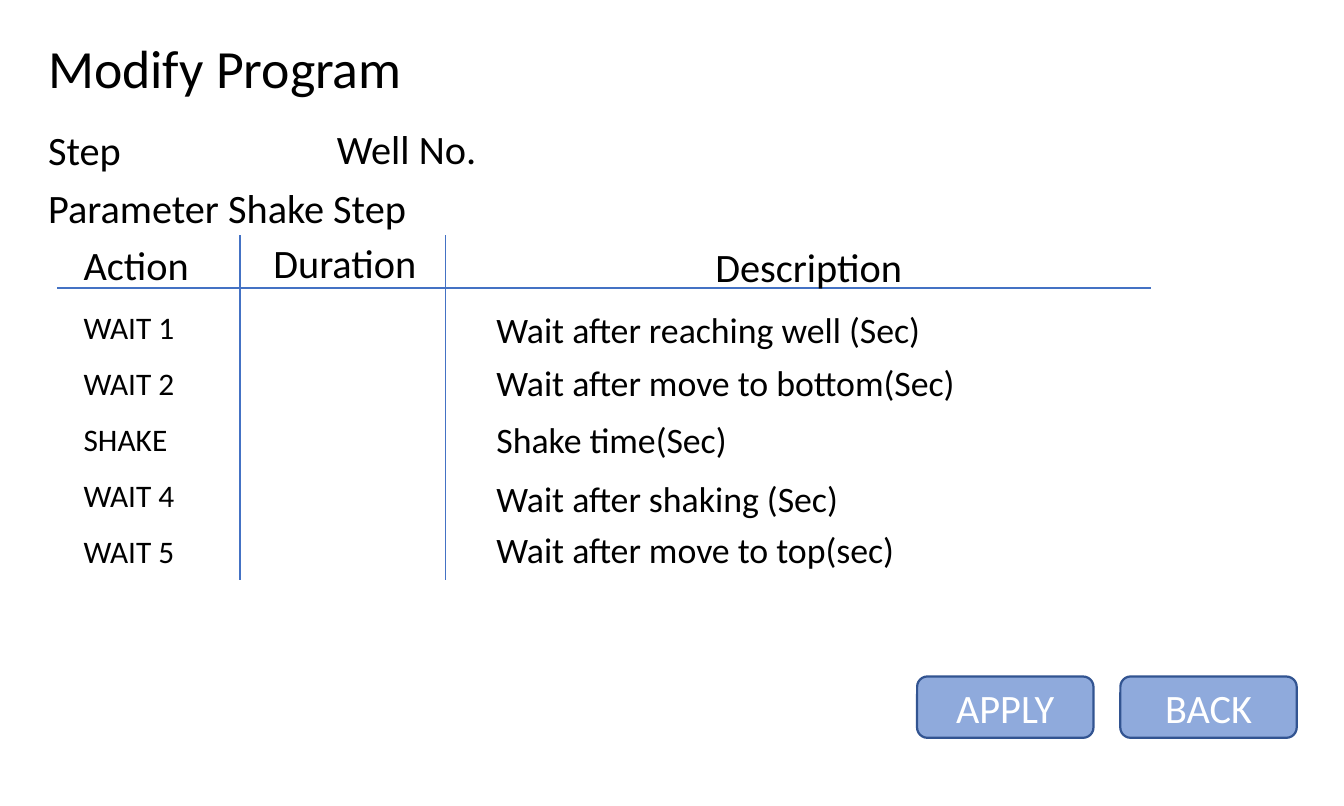
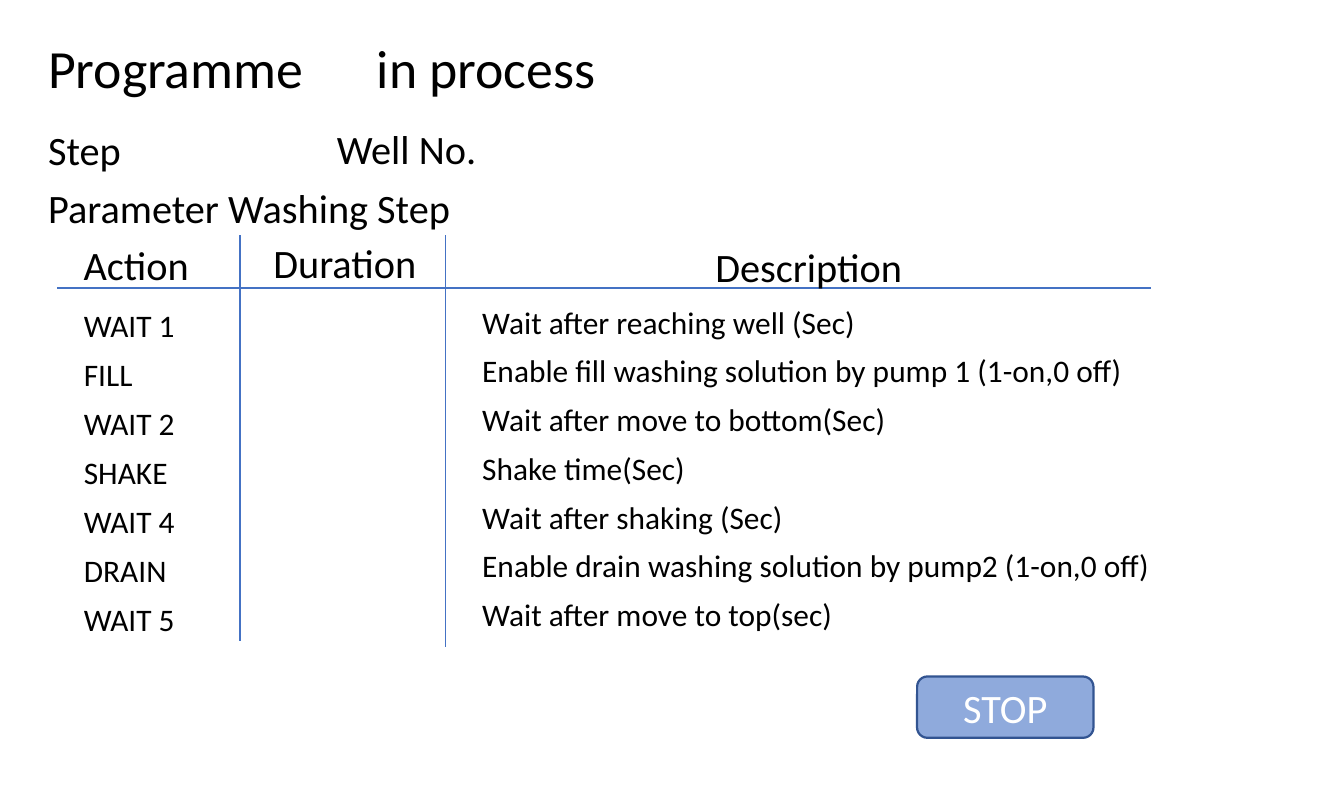
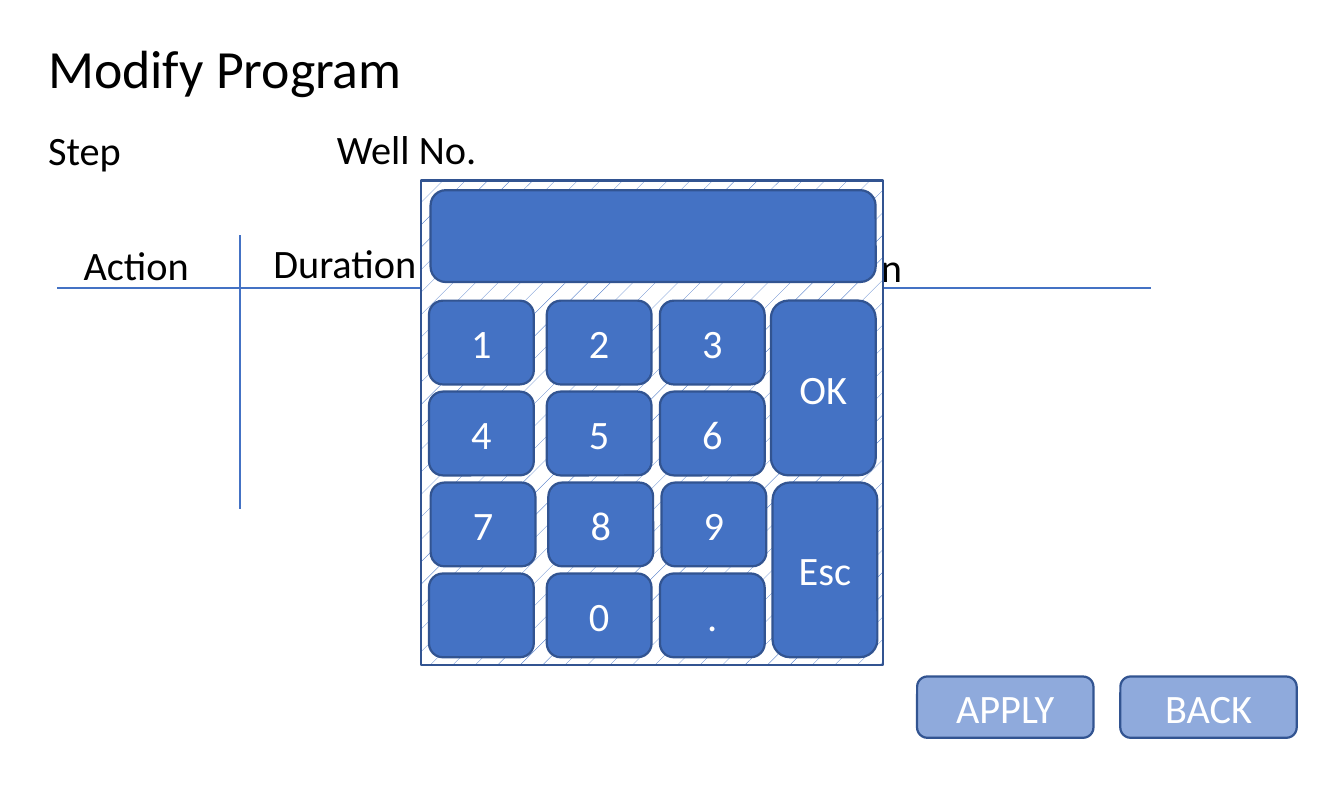
from dataclasses import dataclass
from typing import Any

import pptx
import pptx.dml.color
import pptx.enum.dml
import pptx.enum.shapes
import pptx.enum.text
import pptx.oxml.ns
import pptx.util
from lxml import etree

RGBColor = pptx.dml.color.RGBColor
BLACK = RGBColor(0x00, 0x00, 0x00)
WHITE = RGBColor(0xFF, 0xFF, 0xFF)
BLUE = RGBColor(0x44, 0x72, 0xC4)
LIGHT_BLUE = RGBColor(0x8F, 0xAA, 0xDC)
OUTLINE = RGBColor(0x32, 0x54, 0x91)

# The page is a grid of 100 columns by 60 rows
PAGE_WIDTH = pptx.util.Pt(600)
PAGE_HEIGHT = pptx.util.Pt(360)
COLUMNS, ROWS = 100, 60

FONT = "Calibri"
TITLE_SIZE, LABEL_SIZE, NOTE_SIZE, ITEM_SIZE = 24, 18, 16, 14
GROW = pptx.enum.text.MSO_AUTO_SIZE.SHAPE_TO_FIT_TEXT
MIDDLE = pptx.enum.text.MSO_ANCHOR.MIDDLE
BOTTOM = pptx.enum.text.MSO_ANCHOR.BOTTOM
CENTER = pptx.enum.text.PP_ALIGN.CENTER
RECTANGLE = pptx.enum.shapes.MSO_SHAPE.RECTANGLE
ROUNDED = pptx.enum.shapes.MSO_SHAPE.ROUNDED_RECTANGLE

CELL_FORMAT = {
    "margin_left": pptx.util.Inches(0.01),
    "margin_right": pptx.util.Inches(0.01),
    "margin_top": pptx.util.Inches(0.01),
    "margin_bottom": 0,
}


def across(columns: float) -> int:
    return round(PAGE_WIDTH * columns / COLUMNS)


def down(rows: float) -> int:
    return round(PAGE_HEIGHT * rows / ROWS)


@dataclass(frozen=True)
class Area:
    left: float
    top: float
    width: float
    height: float

    def lengths(self) -> tuple[int, int, int, int]:
        return across(self.left), down(self.top), across(self.width), down(self.height)


@dataclass(frozen=True)
class Label:
    text: str
    area: Area
    size: int = LABEL_SIZE
    wrap: bool = False
    tab: float = 0


@dataclass(frozen=True)
class TextColumn:
    items: tuple[str, ...]
    left: float
    width: float
    first_height: float
    row_height: float
    anchor: Any


@dataclass(frozen=True)
class Screen:
    title: Label
    parameter: Label | None
    dividers: tuple[float, float]
    buttons: tuple[str, ...]


# Parts that every screen shares
SHARED_LABELS = (
    Label("Step", Area(2.4, 8.72, 7.92, 4.8)),
    Label("Well No.", Area(23.88, 8.64, 12.96, 4.8)),
    Label("Action", Area(5.04, 17.32, 10.32, 4.8)),
    Label("Duration", Area(19.16, 17.16, 13.2, 4.8)),
    Label("Description", Area(52.04, 17.48, 16.56, 4.8)),
)
HEADER_LINE = (4.28, 21.44, 85.68, 21.44)
DIVIDER_LEFTS, DIVIDER_TOP = (17.84, 33.16), 17.52
BUTTON, BUTTON_STEP = Area(68.24, 50.36, 13.12, 4.56), 15.12

MODIFY_TITLE = Label("Modify Program", Area(2.4, 2, 28.92, 6), TITLE_SIZE, True)
PROCESS_TITLE = Label("Programme\tin process", Area(2.4, 2, 43.44, 6),
                      TITLE_SIZE, True, 24.46)

SHAKE = Screen(MODIFY_TITLE, Label("Parameter Shake Step", Area(2.4, 13.04, 29.4, 4.8)),
               (43.16, 43.16), ("APPLY", "BACK"))
WASHING = Screen(PROCESS_TITLE, Label("Parameter Washing Step", Area(2.4, 13.04, 32.64, 4.8)),
                 (47.72, 48.2), ("STOP",))
ENTRY = Screen(MODIFY_TITLE, None, (37.88, 37.88), ("APPLY", "BACK"))

# Shake steps: action, description, top of the description
SHAKE_STEPS = (
    ("WAIT 1", "Wait after reaching well (Sec)", 22.32),
    ("WAIT 2", "Wait after move to bottom(Sec)", 26.24),
    ("SHAKE", "Shake time(Sec)", 30.48),
    ("WAIT 4", "Wait after shaking (Sec)", 34.92),
    ("WAIT 5", "Wait after move to top(sec)", 38.7),
)
ACTION_TOP, ACTION_STEP = 22.38, 4.17

# Washing steps
WASHING_TOP = 22.2
WASHING_COLUMNS = (
    TextColumn(("WAIT 1", "FILL", "WAIT 2", "SHAKE", "WAIT 4", "DRAIN", "WAIT 5"),
               6.12, 10.32, 3.52, 3.65, BOTTOM),
    TextColumn(("Wait after reaching well (Sec)",
                "Enable fill washing solution by pump 1 (1-on,0 off)",
                "Wait after move to bottom(Sec)",
                "Shake time(Sec)",
                "Wait after shaking (Sec)",
                "Enable drain washing solution by pump2 (1-on,0 off)",
                "Wait after move to top(sec)"),
               35.76, 58.08, 3.63, 3.63, MIDDLE),
)

# Keypad
KEYPAD_PANEL = Area(31.32, 13.44, 34.36, 36.08)
KEYPAD_DISPLAY = Area(32.04, 14.16, 33.12, 6.84)
KEY_LEFTS = (31.92, 40.68, 49.1, 57.36)
KEY_TOP, KEY_STEP = 22.38, 6.77
KEY_WIDTH, KEY_HEIGHT = 7.8, 6.24
KEY_ROWS = (("1", "2", "3", "OK"), ("4", "5", "6"), ("7", "8", "9", "Esc"), ("", "0", "."))
TALL_KEYS = ("OK", "Esc")
SHIFTED_ROW, SHIFT = 2, 0.12


def apply_format(target: Any, values: dict[str, Any]) -> None:
    for name, value in values.items():
        setattr(target, name, value)


def write(para: Any, text: str, size: int, color: RGBColor) -> None:
    span = para.add_run()
    span.text = text
    apply_format(span.font, {"name": FONT, "size": pptx.util.Pt(size)})
    span.font.color.rgb = color


def add_label(page: Any, label: Label) -> None:
    box = page.shapes.add_textbox(*label.area.lengths())
    apply_format(box.text_frame, {"word_wrap": label.wrap, "auto_size": GROW})
    para = box.text_frame.paragraphs[0]
    write(para, label.text, label.size, BLACK)
    if label.tab:
        stops = etree.SubElement(para._p.get_or_add_pPr(), pptx.oxml.ns.qn("a:tabLst"))
        etree.SubElement(stops, pptx.oxml.ns.qn("a:tab"), pos=str(across(label.tab)), algn="l")


def add_line(page: Any, left: float, top: float, right: float, bottom: float) -> None:
    line = page.shapes.add_connector(pptx.enum.shapes.MSO_CONNECTOR.STRAIGHT,
                                     across(left), down(top), across(right), down(bottom))
    line.line.color.rgb = BLUE
    line.line.width = pptx.util.Pt(0.75)
    etree.SubElement(line._element.spPr, pptx.oxml.ns.qn("a:effectLst"))


def add_panel(shapes: Any, area: Area, fill: RGBColor, text: str = "", kind: Any = ROUNDED) -> Any:
    panel = shapes.add_shape(kind, *area.lengths())
    panel.shadow.inherit = False
    panel.fill.solid()
    panel.fill.fore_color.rgb = fill
    panel.line.color.rgb = OUTLINE
    panel.line.width = pptx.util.Pt(1)
    if text:
        panel.text_frame.vertical_anchor = MIDDLE
        para = panel.text_frame.paragraphs[0]
        para.alignment = CENTER
        write(para, text, LABEL_SIZE, WHITE)
    return panel


def add_white_borders(cell: Any) -> None:
    properties = cell._tc.get_or_add_tcPr()
    for index, side in enumerate(("lnL", "lnR", "lnT", "lnB")):
        border = etree.Element(pptx.oxml.ns.qn(f"a:{side}"), w=str(pptx.util.Pt(1)))
        fill = etree.SubElement(border, pptx.oxml.ns.qn("a:solidFill"))
        etree.SubElement(fill, pptx.oxml.ns.qn("a:srgbClr"), val=str(WHITE))
        properties.insert(index, border)


def add_text_column(page: Any, column: TextColumn) -> None:
    count = len(column.items)
    height = column.first_height + (count - 1) * column.row_height
    area = Area(column.left, WASHING_TOP, column.width, height)
    table = page.shapes.add_table(count, 1, *area.lengths()).table
    apply_format(table, {"first_row": False, "horz_banding": False})
    for index, text in enumerate(column.items):
        table.rows[index].height = down(column.row_height if index else column.first_height)
        cell = table.cell(index, 0)
        apply_format(cell, CELL_FORMAT | {"vertical_anchor": column.anchor})
        cell.fill.background()
        add_white_borders(cell)
        write(cell.text_frame.paragraphs[0], text, ITEM_SIZE, BLACK)


def add_keypad(page: Any) -> None:
    shapes = page.shapes.add_group_shape().shapes
    panel = add_panel(shapes, KEYPAD_PANEL, WHITE, kind=RECTANGLE)
    panel.fill.patterned()
    panel.fill.pattern = pptx.enum.dml.MSO_PATTERN.PERCENT_5
    panel.fill.fore_color.rgb = BLUE
    panel.fill.back_color.rgb = WHITE
    add_panel(shapes, KEYPAD_DISPLAY, BLUE)
    for row, keys in enumerate(KEY_ROWS):
        shift = SHIFT if row == SHIFTED_ROW else 0
        for left, key in zip(KEY_LEFTS, keys):
            height = KEY_HEIGHT + (KEY_STEP if key in TALL_KEYS else 0)
            area = Area(left + shift, KEY_TOP + row * KEY_STEP, KEY_WIDTH, height)
            add_panel(shapes, area, BLUE, key)


def add_screen(deck: Any, screen: Screen) -> Any:
    page = deck.slides.add_slide(deck.slide_layouts[6])
    add_line(page, *HEADER_LINE)
    for left, bottom in zip(DIVIDER_LEFTS, screen.dividers):
        add_line(page, left, DIVIDER_TOP, left, bottom)
    for index, text in enumerate(screen.buttons):
        area = Area(BUTTON.left + index * BUTTON_STEP, BUTTON.top, BUTTON.width, BUTTON.height)
        add_panel(page.shapes, area, LIGHT_BLUE, text)
    for label in (screen.title, screen.parameter, *SHARED_LABELS):
        if label:
            add_label(page, label)
    return page


def main() -> None:
    deck = pptx.Presentation()
    apply_format(deck, {"slide_width": PAGE_WIDTH, "slide_height": PAGE_HEIGHT})

    # Shake step
    page = add_screen(deck, SHAKE)
    for index, (action, description, top) in enumerate(SHAKE_STEPS):
        action_area = Area(5.04, ACTION_TOP + index * ACTION_STEP, 11.16, 4.08)
        add_label(page, Label(action, action_area, ITEM_SIZE, True))
        add_label(page, Label(description, Area(35.76, top, 50.04, 4.44), NOTE_SIZE, True))

    # Washing step
    page = add_screen(deck, WASHING)
    for column in WASHING_COLUMNS:
        add_text_column(page, column)

    # Number entry
    page = add_screen(deck, ENTRY)
    add_keypad(page)

    deck.save("out.pptx")


if __name__ == "__main__":
    main()
